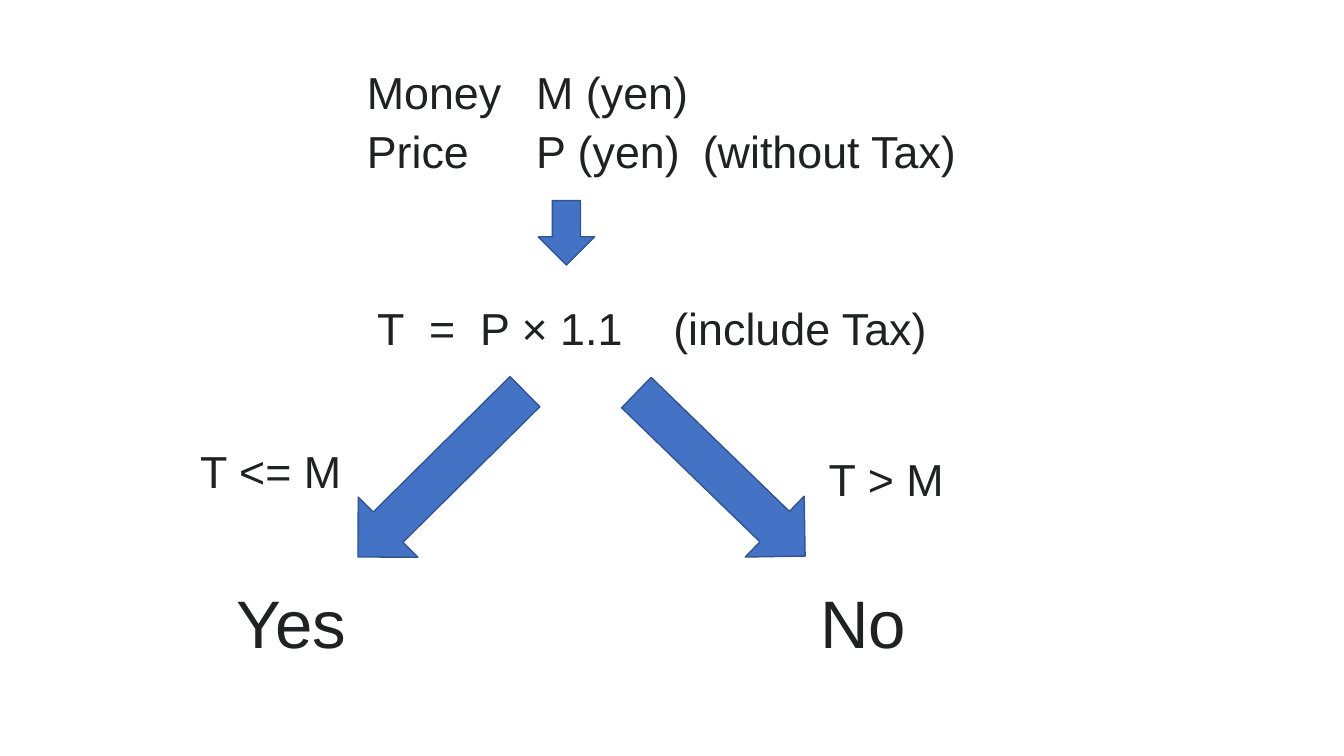
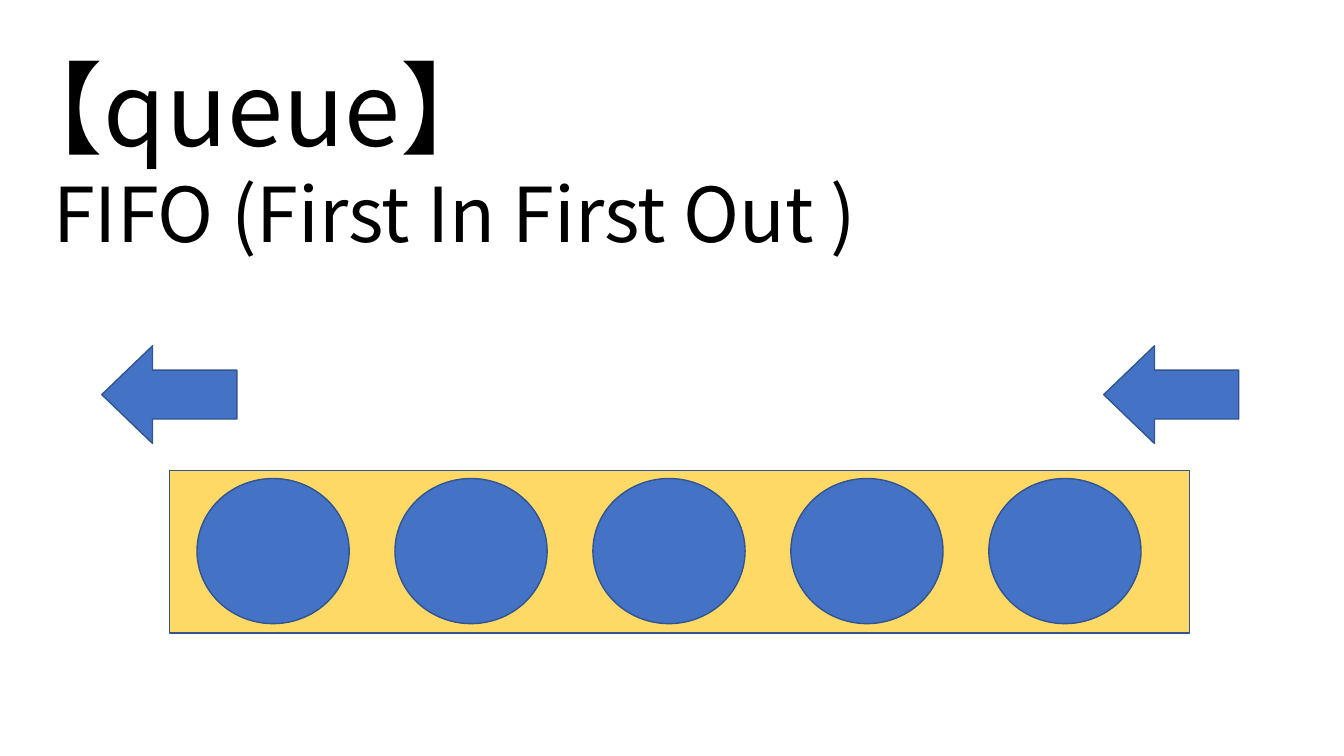
from dataclasses import dataclass

from lxml.etree import SubElement
from pptx import Presentation
from pptx.dml.color import RGBColor
from pptx.enum.shapes import MSO_SHAPE
from pptx.enum.text import MSO_ANCHOR, MSO_AUTO_SIZE, PP_ALIGN
from pptx.oxml.ns import qn
from pptx.presentation import Presentation as Deck
from pptx.slide import Slide
from pptx.text.text import TextFrame
from pptx.util import Pt

BLUE = RGBColor(0x44, 0x72, 0xC4)
OUTLINE = RGBColor(0x32, 0x54, 0x91)
YELLOW = RGBColor(0xFF, 0xD9, 0x66)
INK = RGBColor(0x20, 0x21, 0x22)
BLACK = RGBColor(0, 0, 0)
TEXT_FONT = "Arial"
TITLE_FONT = "Noto Sans CJK JP"
TITLE_ONLY, BLANK = 5, 6


@dataclass(frozen=True)
class Label:
    lines: tuple[str, ...]
    left: float
    top: float
    width: float
    size: float = 32
    tabs: tuple[float, ...] = ()


@dataclass(frozen=True)
class Figure:
    kind: MSO_SHAPE
    left: float
    top: float
    width: float
    height: float
    fill: RGBColor = BLUE
    rotation: float = 0
    adjustments: tuple[float, ...] = ()


@dataclass(frozen=True)
class TitleLine:
    text: str
    size: float
    spacing: float
    indent: float


FLOW_LABELS = (
    Label(("Money\tM (yen)", "Price\tP (yen)\t(without Tax)"), 262, 46, 480, tabs=(121, 240)),
    Label(("T\t=\tP × 1.1\t(include Tax)",), 269.5, 215, 440, tabs=(37, 73.5, 211.5)),
    Label(("T <= M",), 143, 317, 130),
    Label(("T > M",), 592, 322.5, 130),
    Label(("Yes",), 169, 415, 120, 48),
    Label(("No",), 586, 415, 120, 48),
)
FLOW_ARROWS = (
    Figure(MSO_SHAPE.DOWN_ARROW, 384.5, 143.3, 40.3, 46),
    Figure(MSO_SHAPE.DOWN_ARROW, 285.1, 254.9, 60.5, 167.8, rotation=45.3),
    Figure(MSO_SHAPE.DOWN_ARROW, 484.6, 254.9, 60.5, 167.8, rotation=314.1),
)
QUEUE_TITLE = (
    TitleLine("【queue】", 72, 86, 0),
    TitleLine("FIFO (First In First Out )", 54, 65, 36),
)
QUEUE_BAR = Figure(MSO_SHAPE.RECTANGLE, 121, 336.2, 728.6, 115.9, YELLOW)
QUEUE_ARROWS = tuple(
    Figure(MSO_SHAPE.LEFT_ARROW, left, 247, 96.5, 69.8, adjustments=(0.5, 0.52))
    for left in (788.4, 72.7)
)
QUEUE_ITEMS = tuple(
    Figure(MSO_SHAPE.FLOWCHART_CONNECTOR, 140.7 + 141.4 * index, 341.8, 108.7, 103.7)
    for index in range(5)
)


def prepare_frame(frame: TextFrame) -> None:
    frame.word_wrap = True
    frame.auto_size = MSO_AUTO_SIZE.NONE
    frame.vertical_anchor = MSO_ANCHOR.TOP
    frame.margin_left = frame.margin_right = frame.margin_top = frame.margin_bottom = 0


def add_label(page: Slide, label: Label) -> None:
    height = label.size * 1.25 * len(label.lines)
    box = page.shapes.add_textbox(Pt(label.left), Pt(label.top), Pt(label.width), Pt(height))
    frame = box.text_frame
    prepare_frame(frame)
    frame.text = "\n".join(label.lines)
    for index, para in enumerate(frame.paragraphs):
        if index:
            para.space_before = Pt(4)
        if label.tabs:
            tab_list = SubElement(para._p.get_or_add_pPr(), qn("a:tabLst"))
            for position in label.tabs:
                SubElement(tab_list, qn("a:tab"), pos=str(int(Pt(position))), algn="l")
        para.font.name = TEXT_FONT
        para.font.size = Pt(label.size)
        para.font.color.rgb = INK


def add_figure(page: Slide, figure: Figure) -> None:
    shape = page.shapes.add_shape(
        figure.kind, Pt(figure.left), Pt(figure.top), Pt(figure.width), Pt(figure.height)
    )
    shape.shadow.inherit = False
    shape.rotation = figure.rotation
    for index, value in enumerate(figure.adjustments):
        shape.adjustments[index] = value
    shape.fill.solid()
    shape.fill.fore_color.rgb = figure.fill
    shape.line.color.rgb = OUTLINE
    shape.line.width = Pt(1)


def set_title(page: Slide, lines: tuple[TitleLine, ...]) -> None:
    title = page.shapes.title
    title.left, title.top, title.width, title.height = Pt(2), Pt(33), Pt(812), Pt(152)
    frame = title.text_frame
    prepare_frame(frame)
    frame.text = "\n".join(line.text for line in lines)
    for para, line in zip(frame.paragraphs, lines):
        para.alignment = PP_ALIGN.LEFT
        para.line_spacing = Pt(line.spacing)
        properties = para._p.get_or_add_pPr()
        properties.set("marL", str(int(Pt(line.indent))))
        properties.set("indent", "0")
        para.font.size = Pt(line.size)
        para.font.color.rgb = BLACK
        para.font.name = TITLE_FONT
        SubElement(properties.find(qn("a:defRPr")), qn("a:ea"), typeface=TITLE_FONT)


def build_flow_page(deck: Deck) -> None:
    page = deck.slides.add_slide(deck.slide_layouts[BLANK])
    for label in FLOW_LABELS:
        add_label(page, label)
    for arrow in FLOW_ARROWS:
        add_figure(page, arrow)


def build_queue_page(deck: Deck) -> None:
    page = deck.slides.add_slide(deck.slide_layouts[TITLE_ONLY])
    set_title(page, QUEUE_TITLE)
    for figure in (QUEUE_BAR, *QUEUE_ARROWS, *QUEUE_ITEMS):
        add_figure(page, figure)


def main() -> None:
    deck = Presentation()
    deck.slide_width, deck.slide_height = Pt(960), Pt(540)
    build_flow_page(deck)
    build_queue_page(deck)
    deck.save("out.pptx")


if __name__ == "__main__":
    main()
